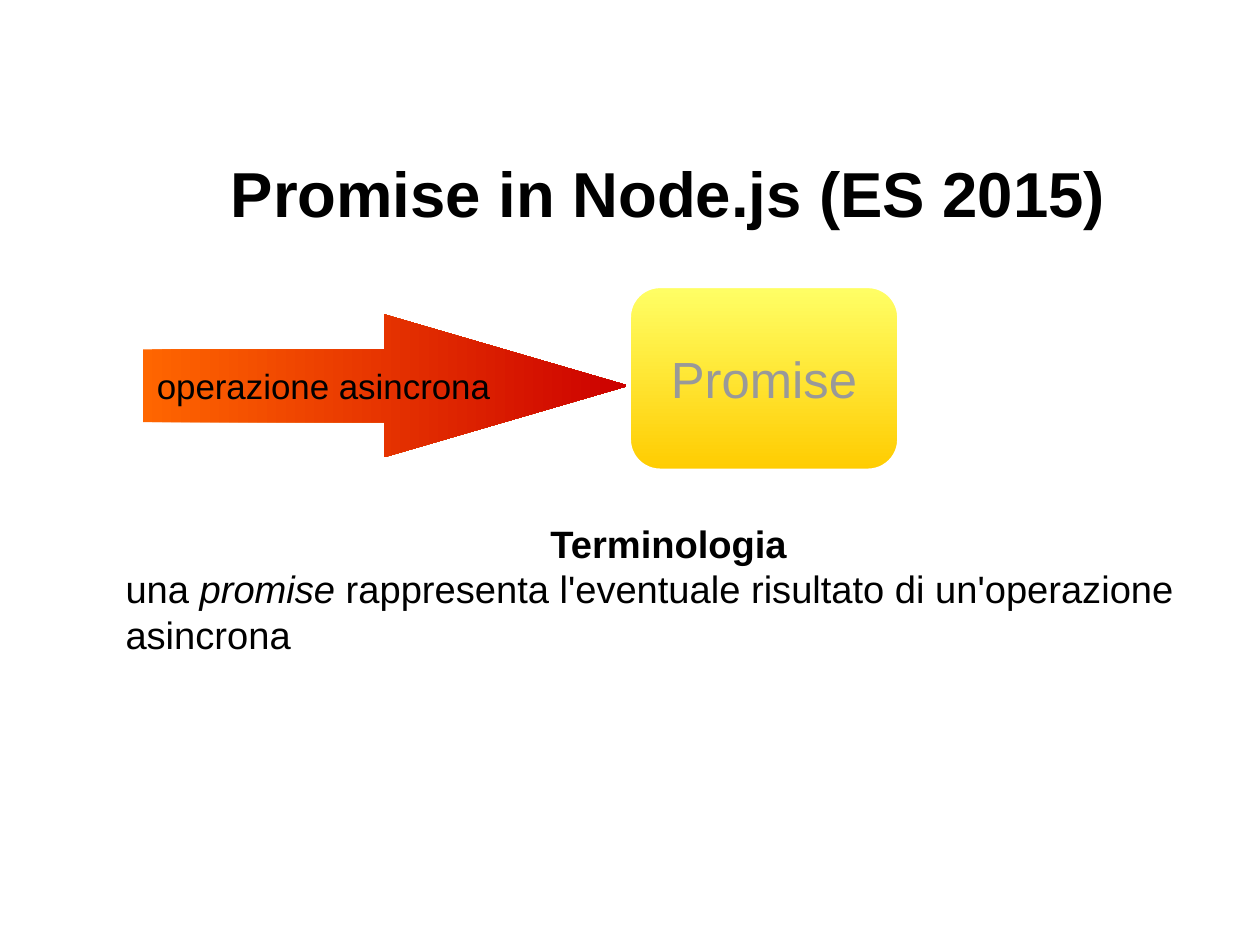
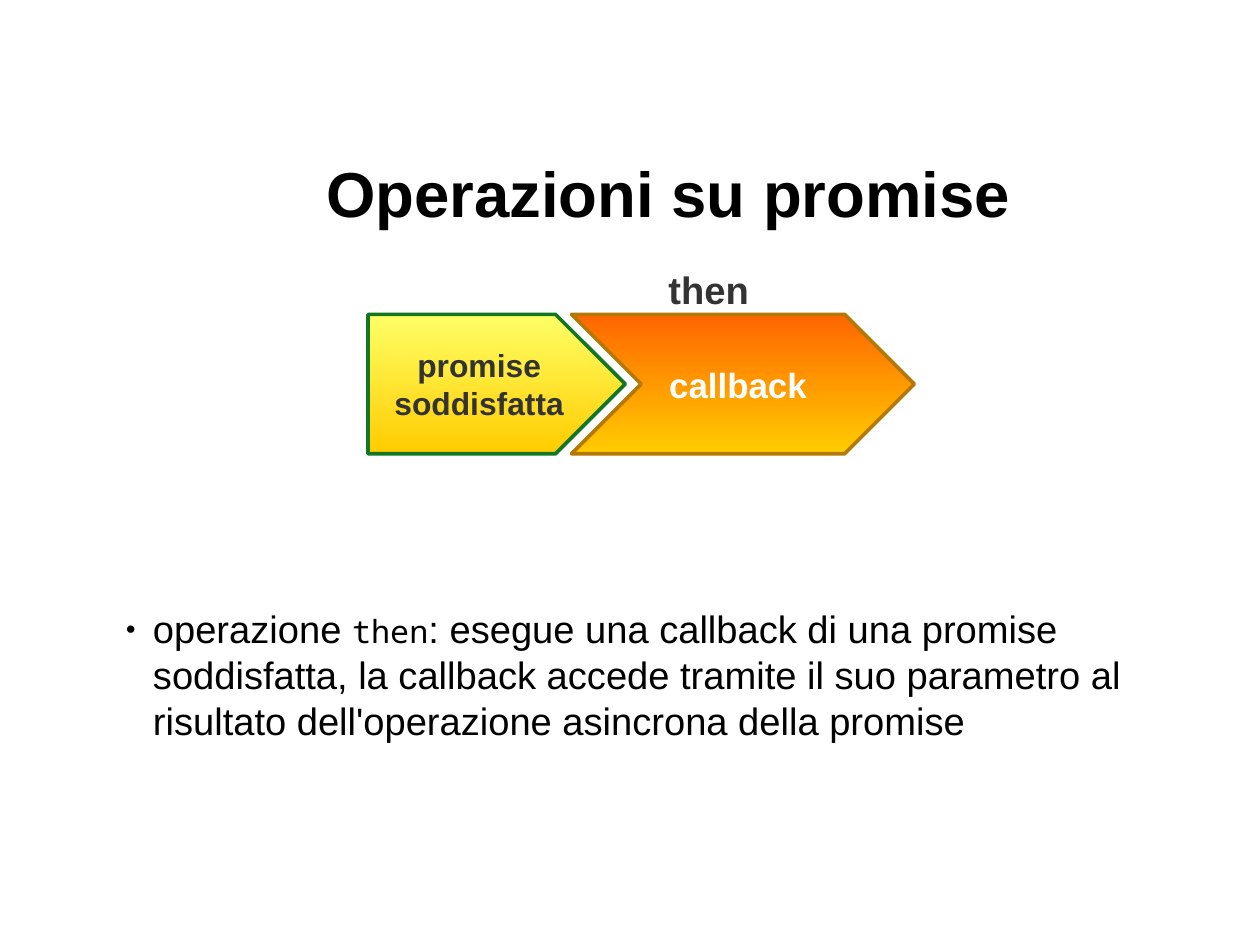
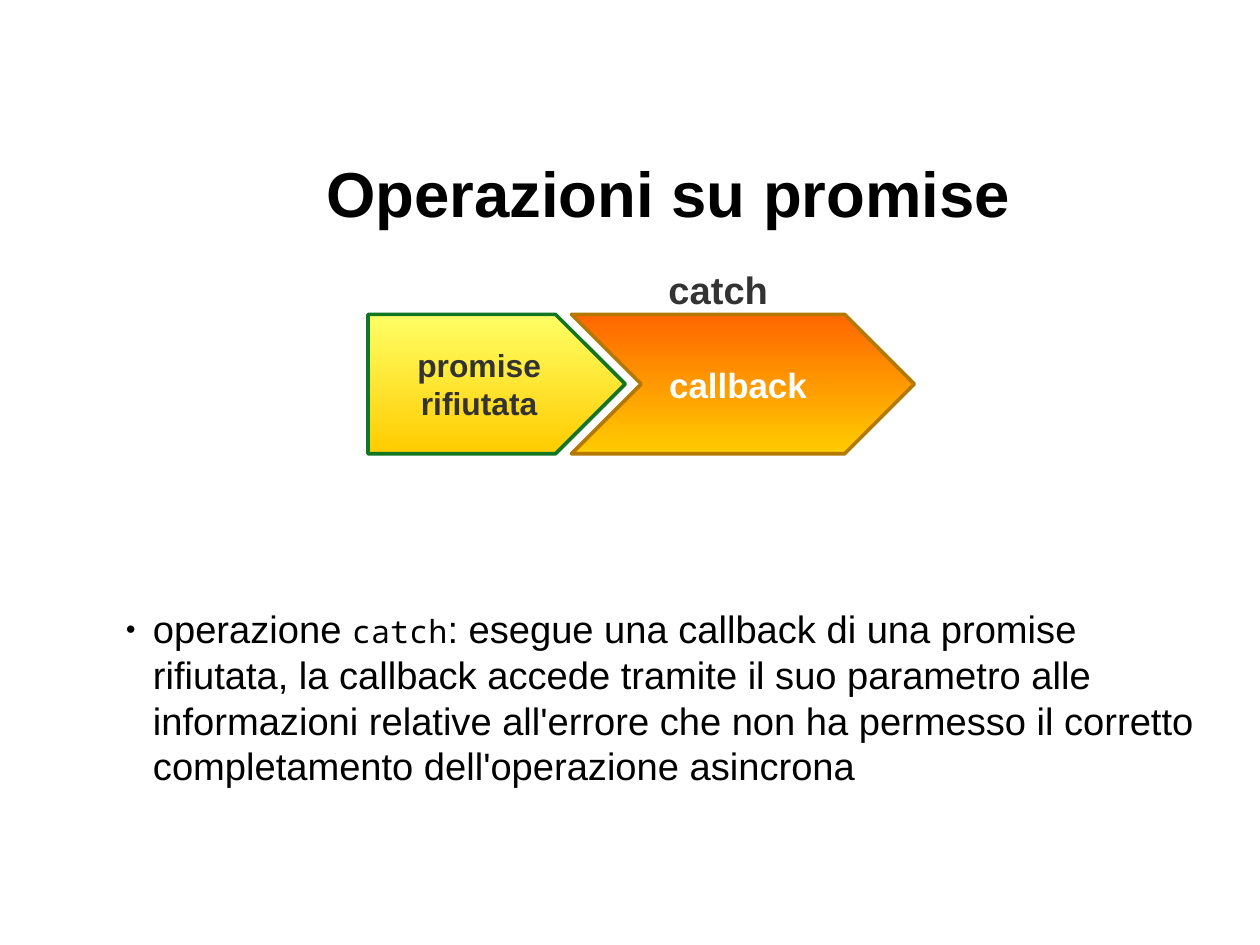
from pptx import Presentation, util as u
from pptx.dml.color import RGBColor
from pptx.enum import shapes, text
from pptx.oxml import parse_xml
from pptx.oxml.ns import nsdecls

BLACK = RGBColor(0x00, 0x00, 0x00)
WHITE = RGBColor(0xFF, 0xFF, 0xFF)
DARK = RGBColor(0x33, 0x33, 0x33)
GREY = RGBColor(0x99, 0x99, 0x99)
LEMON = RGBColor(0xFF, 0xFF, 0x66)
GOLD = RGBColor(0xFF, 0xCC, 0x00)
ORANGE = RGBColor(0xFF, 0x66, 0x00)
RED = RGBColor(0xCC, 0x00, 0x00)
GREEN = RGBColor(0x12, 0x76, 0x22)
BROWN = RGBColor(0xB4, 0x78, 0x04)

SANS, MONO = "Arial", "Noto Sans Mono"
CELL = u.Inches(0.25)  # side of one grid square
LEFT, CENTER = text.PP_ALIGN.LEFT, text.PP_ALIGN.CENTER
TOP, MIDDLE = text.MSO_ANCHOR.TOP, text.MSO_ANCHOR.MIDDLE
DOWNWARD, RIGHTWARD = 270, 0
TITLE_AREA = (5.04, 5.54, 36.68, 2.48)


def write(box, paragraphs, insets=(0.1, 0.05, 0.1, 0.05), anchor=TOP):
    """Fill box with (alignment, runs); a run is (words, size, colour, bold, italic, font)."""
    frame = box.text_frame
    frame.word_wrap = True
    frame.vertical_anchor = anchor
    (frame.margin_left, frame.margin_top,
     frame.margin_right, frame.margin_bottom) = map(u.Inches, insets)
    for index, (alignment, runs) in enumerate(paragraphs):
        paragraph = frame.add_paragraph() if index else frame.paragraphs[0]
        paragraph.alignment = alignment
        for words, size, colour, bold, italic, font in runs:
            run = paragraph.add_run()
            run.text = words
            run.font.size = u.Pt(size)
            run.font.color.rgb = colour
            run.font.bold, run.font.italic, run.font.name = bold, italic, font
    return frame


def draw(slide, preset, area, adjustments, gradient, angle, outline, label, insets):
    """Add a gradient shape with a centred label; area is in grid cells."""
    shape = slide.shapes.add_shape(preset, *(int(n * CELL) for n in area))
    shape.shadow.inherit = False
    for index, value in enumerate(adjustments):
        shape.adjustments[index] = value
    shape.fill.gradient()
    shape.fill.gradient_angle = angle
    for stop, colour in zip(shape.fill.gradient_stops, gradient):
        stop.color.rgb = colour
    if outline:
        shape.line.color.rgb, shape.line.width = outline[0], u.Pt(outline[1])
    else:
        shape.line.fill.background()
    write(shape, [(CENTER, [label])], insets, MIDDLE)


deck = Presentation()
deck.slide_width, deck.slide_height = u.Cm(28), u.Cm(21)

slides = []
for title in ("Promise in Node.js (ES 2015)", "Operazioni su promise", "Operazioni su promise"):
    slide = deck.slides.add_slide(deck.slide_layouts[6])
    heading = slide.shapes.add_textbox(*(int(n * CELL) for n in TITLE_AREA))
    frame = write(heading, [(CENTER, [(title, 40, BLACK, True, False, SANS)])],
                  (0, 0.04, 0, 0), MIDDLE)
    frame.paragraphs[0].line_spacing = 0.93
    slides.append(slide)
definition_slide, *operation_slides = slides

# Definition of a promise
definition = definition_slide.shapes.add_textbox(*(int(n * CELL) for n in (4, 18, 38.8, 6)))
write(definition, [
    (CENTER, [("Terminologia", 24, BLACK, True, False, SANS)]),
    (LEFT, [("una ", 24, BLACK, False, False, SANS),
            ("promise", 24, BLACK, False, True, SANS),
            (" rappresenta l'eventuale risultato di un'operazione asincrona",
             24, BLACK, False, False, SANS)]),
])
draw(definition_slide, shapes.MSO_SHAPE.RIGHT_ARROW, (5, 11, 17, 5), (0.51, 1.71),
     (ORANGE, RED), RIGHTWARD, None,
     ("operazione asincrona", 22, BLACK, False, False, SANS), (0.11, 0.06, 0.11, 0.06))
draw(definition_slide, shapes.MSO_SHAPE.ROUNDED_RECTANGLE, (22, 10, 9.48, 6.48), (0.17,),
     (LEMON, GOLD), DOWNWARD, (WHITE, 3),
     ("Promise", 32, GREY, False, False, SANS), (0.12, 0.07, 0.12, 0.07))

# Operations on a promise
operations = [
    ("then", "soddisfatta", 5.96, "al risultato dell'operazione asincrona della promise"),
    ("catch", "rifiutata", 7, "alle informazioni relative all'errore che non ha permesso "
                              "il corretto completamento dell'operazione asincrona"),
]
for slide, (operation, state, rows, outcome) in zip(operation_slides, operations):
    explanation = slide.shapes.add_textbox(*(int(n * CELL) for n in (4, 21, 38.8, rows)))
    frame = write(explanation, [(LEFT, [
        ("operazione ", 24, BLACK, False, False, SANS),
        (operation, 20, BLACK, False, False, MONO),
        (f": esegue una callback di una promise {state}, la callback accede "
         f"tramite il suo parametro {outcome}", 24, BLACK, False, False, SANS),
    ])])
    bullet = frame.paragraphs[0]._p.get_or_add_pPr()
    bullet.set("marL", str(u.Inches(0.24)))
    bullet.set("indent", str(u.Inches(-0.24)))
    for element in ('<a:buClr %s><a:srgbClr val="000000"/></a:buClr>',
                    '<a:buSzPct %s val="45000"/>',
                    '<a:buFont %s typeface="Arial"/>',
                    '<a:buChar %s char="●"/>'):
        bullet.append(parse_xml(element % nsdecls("a")))

    for preset, left, width, gradient, edge, label in (
        (shapes.MSO_SHAPE.PENTAGON, 12.88, 9, (LEMON, GOLD), GREEN,
         (f"promise {state}", 20, DARK, True, False, SANS)),
        (shapes.MSO_SHAPE.CHEVRON, 20, 12, (ORANGE, GOLD), BROWN,
         ("callback ", 22, WHITE, True, False, SANS)),
    ):
        draw(slide, preset, (left, 11, width, 4.88), (0.5,), gradient, DOWNWARD,
             (edge, 2.3), label, (0.11, 0.06, 0.11, 0.06))

    caption = slide.shapes.add_textbox(*(int(n * CELL) for n in (23, 9.12, 5, 1.88)))
    write(caption, [(LEFT, [(operation, 24, DARK, True, False, SANS)])])

deck.save("out.pptx")
